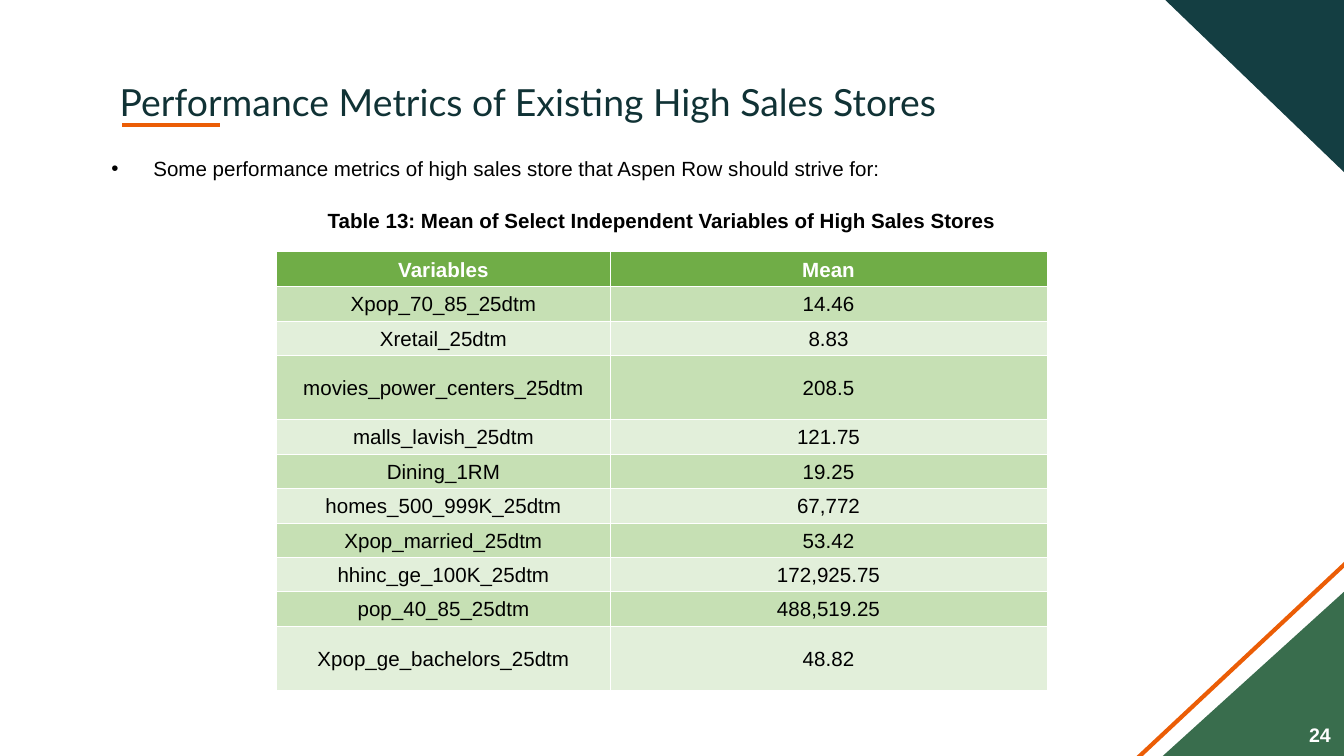
import lxml.etree
import pptx
import pptx.dml.color
import pptx.enum.shapes
import pptx.enum.text
import pptx.oxml.ns
import pptx.util

RGB = pptx.dml.color.RGBColor
TEAL = RGB(0x14, 0x3E, 0x42)
DARK_TEAL = RGB(0x10, 0x32, 0x35)
ORANGE = RGB(0xEB, 0x5D, 0x06)
FOREST = RGB(0x39, 0x6D, 0x4D)
HEADER_GREEN = RGB(0x70, 0xAD, 0x47)
BANDS = (RGB(0xC6, 0xE0, 0xB4), RGB(0xE2, 0xEF, 0xDA))
BLACK = RGB(0, 0, 0)
WHITE = RGB(0xFF, 0xFF, 0xFF)
ALIGN = pptx.enum.text.PP_ALIGN
ANCHOR = pptx.enum.text.MSO_ANCHOR
SHAPE = pptx.enum.shapes.MSO_SHAPE
NO_TABLE_STYLE = "{2D5ABB26-0587-4C30-8999-92F81FD0307C}"

# The 16:9 page is a grid of 100 columns; rows are as tall as columns are wide
COLUMNS = 100
PAGE_WIDTH = pptx.util.Inches(10)
PAGE_HEIGHT = PAGE_WIDTH * 9 // 16

CAPTION = "Table 13: Mean of Select Independent Variables of High Sales Stores"
METRICS = [
    ("Variables", "Mean"),
    ("Xpop_70_85_25dtm", "14.46"),
    ("Xretail_25dtm", "8.83"),
    ("movies_power_centers_25dtm", "208.5"),
    ("malls_lavish_25dtm", "121.75"),
    ("Dining_1RM", "19.25"),
    ("homes_500_999K_25dtm", "67,772"),
    ("Xpop_married_25dtm", "53.42"),
    ("hhinc_ge_100K_25dtm", "172,925.75"),
    ("pop_40_85_25dtm", "488,519.25"),
    ("Xpop_ge_bachelors_25dtm", "48.82"),
]
TALL_ROWS = (0, 4, 11)
TALL, SHORT = 4.78, 2.56


def grid(*cells):
    return [round(cell * PAGE_WIDTH / COLUMNS) for cell in cells]


def add_xml(parent, tag, **attributes):
    return lxml.etree.SubElement(parent, pptx.oxml.ns.qn(tag), attributes)


def write(para, text, size=11, font="Arial", color=BLACK, bold=False, align=ALIGN.LEFT):
    para.alignment = align
    span = para.add_run()
    span.text = text
    span.font.size = pptx.util.Pt(size)
    span.font.name = font
    span.font.bold = bold
    span.font.color.rgb = color


class Page:
    def __init__(self, deck):
        self.page = deck.slides.add_slide(deck.slide_layouts[5])
        self.shapes = self.page.shapes

    def paint(self, shape, color):
        shape.shadow.inherit = False
        shape.fill.solid()
        shape.fill.fore_color.rgb = color
        shape.line.fill.background()

    def triangle(self, points, color):
        corners = [grid(*point) for point in points]
        builder = self.shapes.build_freeform(*corners[0], scale=1.0)
        builder.add_line_segments(corners[1:], close=True)
        self.paint(builder.convert_to_shape(), color)

    def right_triangle(self, place, color):
        shape = self.shapes.add_shape(SHAPE.RIGHT_TRIANGLE, *grid(*place))
        shape._element.spPr.find(pptx.oxml.ns.qn("a:xfrm")).set("flipH", "1")
        self.paint(shape, color)

    def line(self, start, end):
        kind = pptx.enum.shapes.MSO_CONNECTOR.STRAIGHT
        line = self.shapes.add_connector(kind, *grid(*start, *end))
        line.line.color.rgb = ORANGE
        line.line.width = pptx.util.Pt(2.25)
        add_xml(line._element.spPr, "a:effectLst")

    def title(self, place, text):
        title = self.shapes.title
        title.left, title.top, title.width, title.height = grid(*place)
        frame = title.text_frame
        frame.margin_left, frame.margin_top, frame.margin_right, frame.margin_bottom = grid(1, 1, 1, 1)
        frame.vertical_anchor = ANCHOR.TOP
        frame.auto_size = pptx.enum.text.MSO_AUTO_SIZE.NONE
        write(frame.paragraphs[0], text, size=20, font="Lato", color=DARK_TEAL)

    def text(self, place, text, anchor=ANCHOR.TOP, bullet=False, **style):
        box = self.shapes.add_textbox(*grid(*place))
        box.text_frame.word_wrap = True
        box.text_frame.vertical_anchor = anchor
        para = box.text_frame.paragraphs[0]
        if bullet:
            indent = grid(3.13)[0]
            properties = para._p.get_or_add_pPr()
            properties.set("marL", str(indent))
            properties.set("indent", str(-indent))
            add_xml(properties, "a:buFont", typeface="Arial")
            add_xml(properties, "a:buChar", char="•")
        write(para, text, **style)

    def borders(self, cell, sides):
        for side in sides:
            edge = add_xml(cell._tc.get_or_add_tcPr(), f"a:ln{side}", w=str(pptx.util.Pt(0.5)))
            add_xml(add_xml(edge, "a:solidFill"), "a:srgbClr", val=str(WHITE))

    def cell(self, cell, text, fill=None, sides="", **style):
        self.borders(cell, sides)
        if fill is None:
            cell.fill.background()
        else:
            cell.fill.solid()
            cell.fill.fore_color.rgb = fill
        cell.margin_left, cell.margin_top, cell.margin_right, cell.margin_bottom = grid(0.1, 0.1, 0.1, 0)
        cell.vertical_anchor = ANCHOR.MIDDLE
        write(cell.text_frame.paragraphs[0], text, align=ALIGN.CENTER, **style)

    def table(self, left, top, widths, caption, records):
        heights = [TALL if row in TALL_ROWS else SHORT for row in range(len(records) + 1)]
        place = grid(left, top, sum(widths), sum(heights))
        table = self.shapes.add_table(len(heights), len(widths), *place).table
        table.first_row = table.horz_banding = False
        table._tbl.tblPr.find(pptx.oxml.ns.qn("a:tableStyleId")).text = NO_TABLE_STYLE
        for column, width in zip(table.columns, grid(*widths)):
            column.width = width
        for row, height in zip(table.rows, grid(*heights)):
            row.height = height

        # Caption across both columns
        table.cell(0, 0).merge(table.cell(0, len(widths) - 1))
        self.cell(table.cell(0, 0), caption, bold=True)

        # Header, then banded records with white rules between cells
        for row, record in enumerate(records, start=1):
            header = row == 1
            fill = HEADER_GREEN if header else BANDS[row % 2]
            for column, text in enumerate(record):
                sides = "L" if column else "R"
                sides += "" if header else "T"
                sides += "B" if row < len(records) else ""
                self.cell(table.cell(row, column), text, fill, sides,
                          color=WHITE if header else BLACK, bold=header)


def main():
    deck = pptx.Presentation()
    deck.slide_width, deck.slide_height = PAGE_WIDTH, PAGE_HEIGHT
    page = Page(deck)

    # Corner decoration
    page.triangle([(100.2, 0), (100.2, 13), (86.7, 0)], TEAL)
    page.line((101.1, 41), (84, 57))
    page.right_triangle((85.8, 43.4, 14.9, 13.5), FOREST)

    # Title with accent rule
    page.title((7.9, 4.9, 84.3, 6.3), "Performance Metrics of Existing High Sales Stores")
    page.line((9.1, 9.3), (16.4, 9.3))

    # Page number
    page.text((95.2, 53.2, 4.8, 3), "24", anchor=ANCHOR.MIDDLE,
              size=10.5, color=WHITE, bold=True, align=ALIGN.RIGHT)

    # Metrics table and its introduction
    page.table(20.6, 14, (24.8, 32.5), CAPTION, METRICS)
    page.text((7.3, 11.1, 84, 4.7),
              "Some performance metrics of high sales store that Aspen Row should strive for:",
              bullet=True)

    deck.save("out.pptx")


if __name__ == "__main__":
    main()
